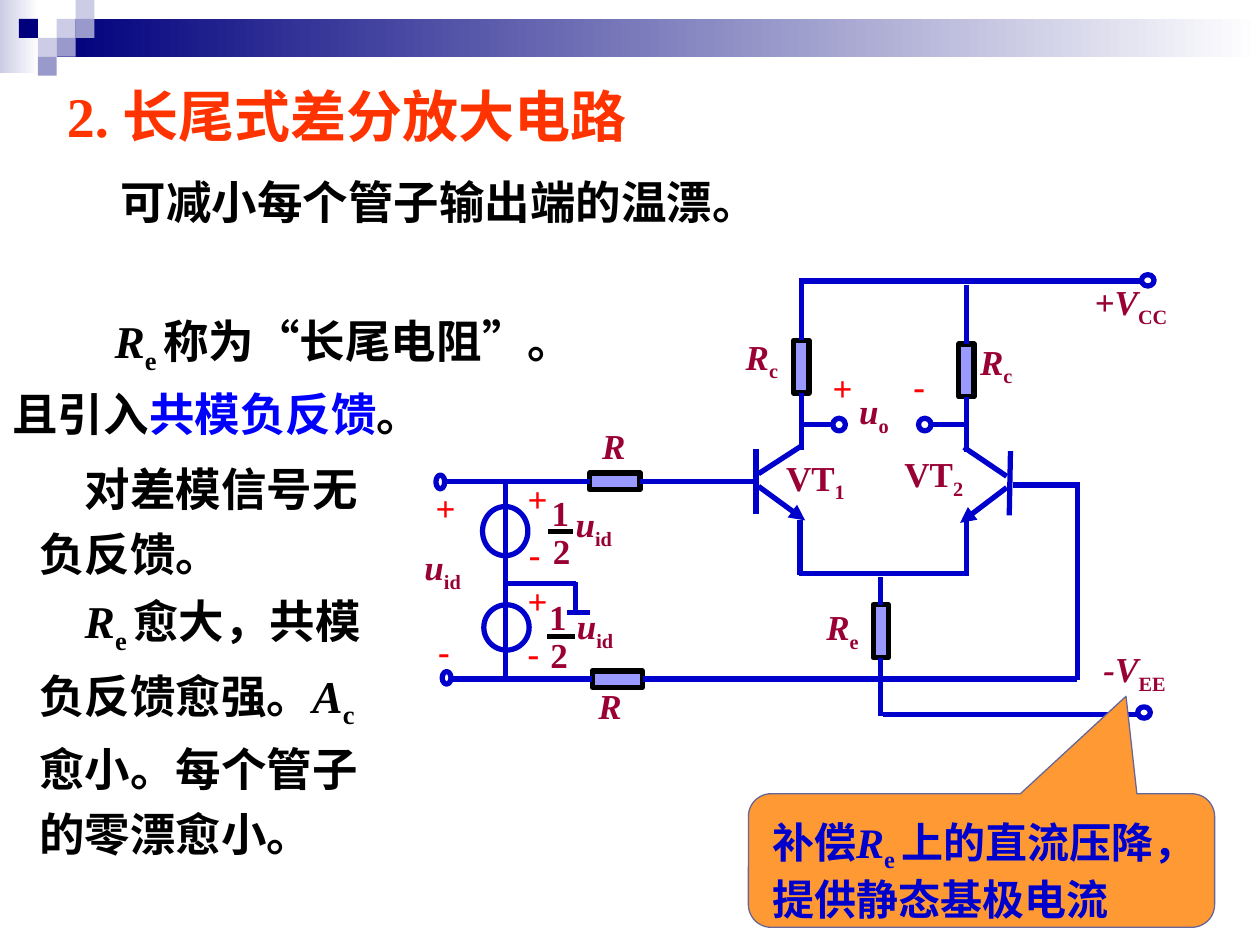
from pptx import Presentation
from pptx.dml.color import RGBColor
from pptx.enum.shapes import MSO_CONNECTOR, MSO_SHAPE
from pptx.enum.text import MSO_ANCHOR, MSO_AUTO_SIZE, PP_ALIGN
from pptx.oxml.ns import qn
from pptx.util import Cm, Pt

RECT, OVAL = MSO_SHAPE.RECTANGLE, MSO_SHAPE.OVAL
CALLOUT = MSO_SHAPE.ROUNDED_RECTANGULAR_CALLOUT
LINE = MSO_CONNECTOR.STRAIGHT
SERIF, CJK = "Times New Roman", "Noto Sans CJK SC"
NAVY, PALE, MID = "00007D", "CCCCE6", "9999CC"
WIRE, WINE, RED, BLACK, WHITE = "0000CC", "990033", "FF0000", "000000", "FFFFFF"

# Text: each run is (text, style); i italic, s subscript, q quote mark, b blue
TITLE = [[("2. 长尾式差分放大电路", "")]]
LEAD = [[("可减小每个管子输出端的温漂。", "")]]
TAIL = [[("R", "i"), ("e ", "s"), ("称为", ""), ("“", "q"), ("长尾电阻", ""),
         ("”", "q"), ("。且引入", ""), ("共模负反馈", "b"), ("。", "")]]
BODY = [[("对差模信号无负反馈。", "")],
        [("R", "i"), ("e ", "s"), ("愈大，共模负反馈愈强。", ""),
         ("A", "i"), ("c ", "s"), ("愈小。每个管子的零漂愈小。", "")]]
NOTE = [[("补偿", ""), ("R", "i"), ("e ", "s"),
         ("上的直流压降，提供静态基极电流", "")]]

# Header: gradient bars (box, from colour) and tiles (column, row, colour)
BARS = [((0, 0, 0.31, 0.58), PALE), ((0.45, 0.15, 9.55, 0.3), NAVY)]
TILES = [(2, 1, PALE), (3, 0, PALE), (3, 1, MID), (1, 2, PALE),
         (0, 1, NAVY), (2, 2, MID), (1, 3, MID)]

# Circuit, on an inch grid: boxes are (left, top, width, height)
PARTS = [(6.3, 2.7, 0.12, 0.42), (7.61, 2.73, 0.12, 0.42),
         (6.93, 4.8, 0.12, 0.42),
         (4.68, 3.755, 0.4, 0.13), (4.7, 5.325, 0.4, 0.13)]
RINGS = [(6.61, 3.32, 0.1, 0.1), (7.29, 3.32, 0.1, 0.1),
         (3.46, 3.77, 0.07, 0.11), (3.51, 5.33, 0.07, 0.1),
         (9.06, 2.18, 0.1, 0.09), (9.03, 5.61, 0.1, 0.09),
         (3.84, 4.8, 0.36, 0.36), (3.83, 4.02, 0.36, 0.39)]
WIRES = [
    # transistors: base bar and collector
    (6, 3.56, 6, 4.08), (6.02, 3.76, 6.36, 3.54),
    (8.02, 3.58, 8.01, 4.09), (7.99, 3.78, 7.65, 3.55),
    # collector branches and outputs
    (6.36, 2.22, 6.36, 2.7), (6.36, 3.12, 6.36, 3.57),
    (7.67, 2.26, 7.67, 2.73), (7.67, 3.15, 7.67, 3.59),
    (6.34, 2.23, 9.08, 2.23),
    (6.37, 3.37, 6.62, 3.37), (7.67, 3.37, 7.39, 3.37),
    # emitters and long tail
    (6.35, 4.13, 6.35, 4.56), (7.67, 4.13, 7.67, 4.56),
    (6.34, 4.55, 7.69, 4.55), (6.99, 4.58, 6.99, 4.8),
    (6.99, 5.22, 6.99, 5.68), (7.01, 5.67, 9.04, 5.67),
    # inputs and sources
    (3.54, 3.82, 4.68, 3.82), (5.08, 3.82, 6.01, 3.82),
    (3.56, 5.39, 4.7, 5.39), (5.1, 5.39, 8.55, 5.39),
    (8.04, 3.85, 8.57, 3.85), (8.55, 3.85, 8.55, 5.4),
    (4.01, 3.8, 4.01, 5.37), (4.02, 4.63, 4.57, 4.63),
    (4.57, 4.62, 4.57, 4.85), (4.5, 4.86, 4.68, 4.86)]
ARROWS = [(6.02, 3.86, 6.39, 4.13), (7.99, 3.87, 7.62, 4.15)]
RULES = [(4.35, 4.22, 4.55, 4.22), (4.34, 5.05, 4.56, 5.05)]
SIGNS = [("+", 6.51, 2.86), ("-", 7.15, 2.84), ("+", 4.09, 4.55),
         ("-", 4.09, 4.96), ("+", 3.36, 3.81), ("-", 3.38, 4.95),
         ("+", 4.09, 3.74), ("-", 4.1, 4.18)]
NAMES = [("u", "o", 6.72, 3.04), ("u", "id", 3.27, 4.28),
         ("u", "id", 4.47, 3.94), ("u", "id", 4.48, 4.75),
         ("+V", "CC", 8.59, 2.18), ("-V", "EE", 8.66, 5.09),
         ("R", "", 4.65, 5.38), ("R", "", 4.68, 3.32),
         ("R", "c", 5.82, 2.61), ("R", "c", 7.68, 2.65),
         ("R", "e", 6.46, 4.76), ("VT", "1", 6.14, 3.57),
         ("VT", "2", 7.08, 3.54), ("1", "", 4.28, 3.85),
         ("2", "", 4.29, 4.15), ("1", "", 4.26, 4.68), ("2", "", 4.27, 4.98)]


def grid(*vals):
    return [Cm(v * 2.54) for v in vals]


def hue(fmt, code):
    fmt.rgb = RGBColor.from_string(code)


def draw(kind, box, fill=None, line=None, width=3):
    shp = slide.shapes.add_shape(kind, *grid(*box))
    shp.shadow.inherit = False
    if fill:
        shp.fill.solid()
        hue(shp.fill.fore_color, fill)
    else:
        shp.fill.background()
    if line:
        hue(shp.line.color, line)
        shp.line.width = Pt(width)
    else:
        shp.line.fill.background()
    return shp


def wire(ends, color=WIRE, arrow=False):
    con = slide.shapes.add_connector(LINE, *grid(*ends))
    hue(con.line.color, color)
    con.line.width = Pt(3)
    spot = con._element.spPr
    if arrow:
        ln = spot.find(qn("a:ln"))
        ln.append(ln.makeelement(qn("a:tailEnd"), {"type": "triangle"}))
    spot.append(spot.makeelement(qn("a:effectLst"), {}))
    for end, join in ((ends[:2], con.begin_connect), (ends[2:], con.end_connect)):
        if end in pins:
            join(*pins[end])


def write(shp, paras, size, color, indent=0, space=1.0):
    frame = shp.text_frame
    frame.word_wrap = True
    frame.auto_size = MSO_AUTO_SIZE.NONE
    frame.vertical_anchor = MSO_ANCHOR.TOP
    for n, runs in enumerate(paras):
        para = frame.add_paragraph() if n else frame.paragraphs[0]
        para.alignment = PP_ALIGN.LEFT
        para.line_spacing = space
        para.space_before = Pt(0)
        props = para._p.get_or_add_pPr()
        props.set("marL", "0")
        props.set("indent", str(Cm(indent)))
        props.append(props.makeelement(qn("a:buNone"), {}))
        font = para.font
        font.size, font.bold = Pt(size), True
        hue(font.color, color)
        if not any("q" in style for _, style in runs):
            font.name = SERIF
        for text, style in runs:
            run = para.add_run()
            run.text = text
            if font.name is None:
                run.font.name = CJK if style == "q" else SERIF
            if "i" in style:
                run.font.italic = True
            if "s" in style:
                run._r.get_or_add_rPr().set("baseline", "-25000")
            if "b" in style:
                hue(run.font.color, "0000FF")


def place(shp, box):
    shp.left, shp.top, shp.width, shp.height = grid(*box)
    return shp


def label(box, *args, **opts):
    write(slide.shapes.add_textbox(*grid(*box)), *args, **opts)


deck = Presentation()
deck.slide_width, deck.slide_height = grid(10, 7.5)
slide = deck.slides.add_slide(deck.slide_layouts[1])

# Header band
for box, start in BARS:
    bar = draw(RECT, box)
    bar.fill.gradient()
    bar.fill.gradient_angle = 0
    for stop, tint, at in zip(bar.fill.gradient_stops, (start, WHITE), (0, 1)):
        hue(stop.color, tint)
        stop.position = at
for col, row, tint in TILES:
    draw(RECT, (0.15 + 0.15 * col, 0.15 * row, 0.15, 0.15), tint)

# Resistors, with the middle of each side as a pin
pins = {}
for box in PARTS:
    part = draw(RECT, box, "9999FF", BLACK)
    x, y, w, h = box
    sides = [(x + w / 2, y), (x, y + h / 2), (x + w / 2, y + h), (x + w, y + h / 2)]
    for site, (px, py) in enumerate(sides):
        pins[round(px, 2), round(py, 2)] = part, site

# Wires and terminals
for ends in WIRES:
    wire(ends)
for ends in ARROWS:
    wire(ends, arrow=True)
for ends in RULES:
    wire(ends, BLACK)
for box in RINGS:
    draw(OVAL, box, line=WIRE)

# Circuit labels
for sign, x, y in SIGNS:
    label((x, y, 0.4, 0.44), [[(sign, "")]], 20, RED)
for name, sub, x, y in NAMES:
    runs = [(name, "i" if name[-1] in "uRV" else "")]
    if sub:
        runs.append((sub, "s"))
    wide = 0.4 + 0.2 * len(name + sub) if sub else 0.46
    label((x, y, wide, 0.48 if sub else 0.44), [runs], 20, WINE)

# Callout
call = draw(CALLOUT, (5.94, 6.3, 3.7, 1.06), "FF9933", "666699", 0.75)
for n, value in enumerate((0.31, -1.23, 0.17)):
    call.adjustments[n] = value
label((6.03, 6.43, 3.8, 0.96), NOTE, 24, WIRE)

# Title and running text
write(place(slide.shapes.title, (0.43, 0.6, 5.3, 0.64)), TITLE, 32, "FF3300")
label((0.86, 1.33, 6.25, 0.54), LEAD, 26, BLACK)
label((0, 2.34, 4.7, 1.21), TAIL, 26, BLACK, indent=2.06, space=1.2)
write(place(slide.placeholders[1], (0.21, 3.52, 2.92, 3.88)), BODY, 26, BLACK,
      indent=0.92, space=1.2)

deck.save("out.pptx")
